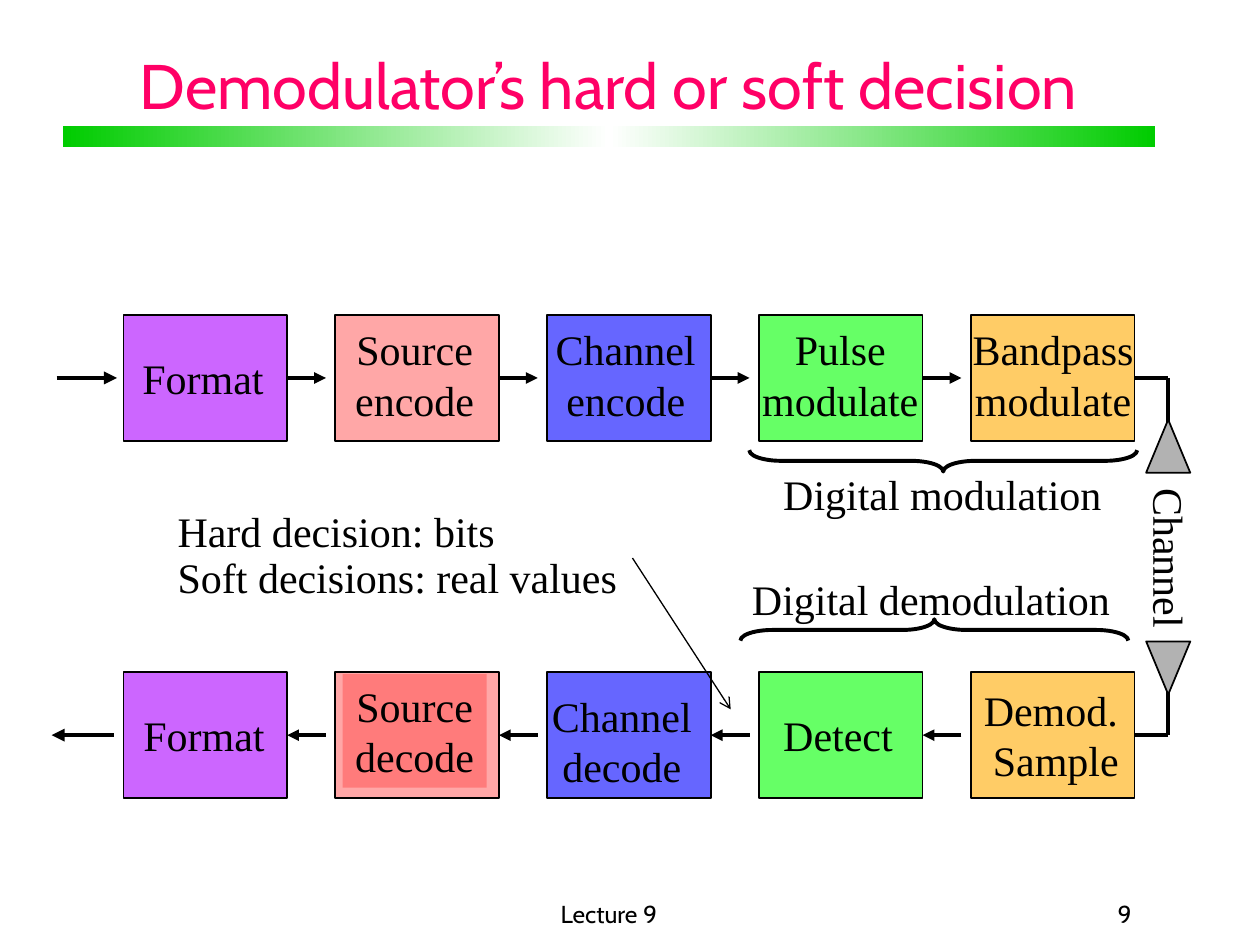
from copy import deepcopy
from dataclasses import dataclass

from lxml import etree
from pptx import Presentation
from pptx.dml.color import RGBColor
from pptx.enum.shapes import MSO_CONNECTOR, MSO_SHAPE
from pptx.enum.text import MSO_ANCHOR, PP_ALIGN
from pptx.oxml.ns import qn
from pptx.util import Cm, Pt

STRAIGHT = MSO_CONNECTOR.STRAIGHT
RECTANGLE, TRIANGLE, BRACE = MSO_SHAPE.RECTANGLE, MSO_SHAPE.ISOSCELES_TRIANGLE, MSO_SHAPE.LEFT_BRACE
LEFT, CENTER, RIGHT = PP_ALIGN.LEFT, PP_ALIGN.CENTER, PP_ALIGN.RIGHT
TOP, MIDDLE, BOTTOM = MSO_ANCHOR.TOP, MSO_ANCHOR.MIDDLE, MSO_ANCHOR.BOTTOM


@dataclass(frozen=True)
class Theme:
    ink: RGBColor = RGBColor.from_string("000000")
    title: RGBColor = RGBColor.from_string("FF0066")
    bar: RGBColor = RGBColor.from_string("00CC00")
    paper: RGBColor = RGBColor.from_string("FFFFFF")
    format: RGBColor = RGBColor.from_string("CC66FF")
    source: RGBColor = RGBColor.from_string("FF5050")
    channel: RGBColor = RGBColor.from_string("6666FF")
    pulse: RGBColor = RGBColor.from_string("66FF66")
    bandpass: RGBColor = RGBColor.from_string("FFCC66")
    antenna: RGBColor = RGBColor.from_string("B2B2B2")
    heading_font: str = "Cabin"
    body_font: str = "Times New Roman"
    title_size: Pt = Pt(36)
    body_size: Pt = Pt(24)
    footer_size: Pt = Pt(14)


theme = Theme()


def add_line(x1, y1, x2, y2, width=2.25, arrowhead=None):
    """Draw a line in centimetres, with an optional arrowhead at its end."""
    line = slide.shapes.add_connector(STRAIGHT, Cm(x1), Cm(y1), Cm(x2), Cm(y2))
    line.line.color.rgb = theme.ink
    line.line.width = Pt(width)
    if arrowhead:
        etree.SubElement(line.line._get_or_add_ln(), qn("a:tailEnd"), type=arrowhead)
    etree.SubElement(line._element.spPr, qn("a:effectLst"))


def add_outlined(kind, left, top, width, height, fill=None, line_width=1):
    """Draw a preset shape in centimetres with a black outline."""
    shape = slide.shapes.add_shape(kind, Cm(left), Cm(top), Cm(width), Cm(height))
    shape.shadow.inherit = False
    if fill is None:
        shape.fill.background()
    else:
        shape.fill.solid()
        shape.fill.fore_color.rgb = fill
    shape.line.color.rgb = theme.ink
    shape.line.width = Pt(line_width)
    return shape


presentation = Presentation()
presentation.slide_width, presentation.slide_height = Cm(25.4), Cm(19.05)
slide = presentation.slides.add_slide(presentation.slide_layouts[5])

# Gradient bar under the title
bar = slide.shapes.add_shape(RECTANGLE, Cm(1.27), Cm(2.54), Cm(22.02), Cm(0.43))
bar.shadow.inherit = False
bar.line.fill.background()
bar.fill.gradient()
bar.fill.gradient_angle = 0
stop_list = bar._element.spPr.find(qn("a:gradFill")).find(qn("a:gsLst"))
stop_list.append(deepcopy(stop_list[0]))
for stop, position, colour in zip(
    bar.fill.gradient_stops, (0, 0.5, 1), (theme.bar, theme.paper, theme.bar)
):
    stop.position = position
    stop.color.rgb = colour

title = slide.shapes.title
title.left, title.top, title.width, title.height = Cm(1.47), Cm(0.81), Cm(21.59), Cm(1.78)
title.text_frame.text = "Demodulator’s hard or soft decision"
title.text_frame.vertical_anchor = MIDDLE
paragraph = title.text_frame.paragraphs[0]
paragraph.alignment = CENTER
paragraph.font.name = theme.heading_font
paragraph.font.size = theme.title_size
paragraph.font.color.rgb = theme.title

# Transmitter row on top, receiver row below
box_left, box_width, box_height, box_pitch = 2.49, 3.3, 2.54, 4.27
row_tops = (6.35, 13.55)
send_middle, receive_middle = (top + box_height / 2 for top in row_tops)
stage_colours = (theme.format, theme.source, theme.channel, theme.pulse, theme.bandpass)
translucent = []
for top in row_tops:
    for column, colour in enumerate(stage_colours):
        box = add_outlined(
            RECTANGLE, box_left + column * box_pitch, top, box_width, box_height, colour
        )
        if colour == theme.source:
            translucent.append(box)

# Signal flow between the stages
arrow_length = 0.78
for column in range(len(stage_colours) - 1):
    start = box_left + column * box_pitch + box_width
    end = start + arrow_length
    add_line(start, send_middle, end, send_middle, arrowhead="triangle")
    add_line(end, receive_middle, start, receive_middle, arrowhead="triangle")
add_line(1.14, send_middle, 2.36, send_middle, 2.5, "triangle")
add_line(2.29, receive_middle, 1.04, receive_middle, 2.5, "triangle")

# Antennas
antenna_x, antenna_width, antenna_height = 23.55, 0.89, 1.07
chain_end = box_left + 4 * box_pitch + box_width
for middle, antenna_top, tip, rotation in (
    (send_middle, 8.46, 8.69, 0),
    (receive_middle, 12.93, 13.77, 180),
):
    add_line(chain_end, middle, antenna_x, middle)
    add_line(antenna_x, middle, antenna_x, tip)
    antenna = add_outlined(
        TRIANGLE, antenna_x - antenna_width / 2, antenna_top,
        antenna_width, antenna_height, theme.antenna,
    )
    antenna.rotation = rotation

# Braces
for left, top, rotation in ((18.8, 5.38, 270), (18.62, 8.79, 90)):
    brace = add_outlined(BRACE, left, top, 0.43, 7.82, line_width=2.25)
    brace.rotation = rotation
    brace.adjustments[0] = 1.5
    brace.adjustments[1] = 0.5

# Text: wording, left, top, width, height, alignment
one_line, two_lines = 1.27, 2.29
labels = (
    ("Format", 2.62, 6.99, 2.95, one_line, CENTER),
    ("Source\nencode", 6.91, 6.4, 2.9, two_lines, CENTER),
    ("Channel\nencode", 10.95, 6.4, 3.33, two_lines, CENTER),
    ("Pulse\nmodulate", 15.11, 6.4, 3.66, two_lines, CENTER),
    ("Bandpass\nmodulate", 19.35, 6.4, 3.76, two_lines, CENTER),
    ("Format", 2.64, 14.17, 2.95, one_line, LEFT),
    ("Source\ndecode", 6.91, 13.59, 2.9, two_lines, CENTER),
    ("Channel\ndecode", 10.87, 13.79, 3.33, two_lines, CENTER),
    ("Detect", 15.54, 14.17, 2.72, one_line, LEFT),
    ("Demod.\nSample", 19.56, 13.67, 3.25, two_lines, CENTER),
    ("Channel", 21.92, 10.62, 3.33, one_line, LEFT),
    ("Digital modulation", 15.54, 9.32, 6.93, one_line, LEFT),
    ("Digital demodulation", 14.91, 11.43, 7.72, one_line, LEFT),
    ("Hard decision: bits\nSoft decisions: real values", 3.33, 10.19, 9.37, 2.08, LEFT),
    ("Lecture 9", 8.26, 17.98, 8.03, 0.86, CENTER),
    ("9", 17.78, 17.98, 5.28, 0.86, RIGHT),
)
for wording, left, top, width, height, alignment in labels:
    label = slide.shapes.add_textbox(Cm(left), Cm(top), Cm(width), Cm(height))
    is_footer = wording in ("Lecture 9", "9")
    frame = label.text_frame
    frame.text = wording
    frame.word_wrap = is_footer
    frame.vertical_anchor = BOTTOM if is_footer else TOP
    for paragraph in frame.paragraphs:
        paragraph.alignment = alignment
        paragraph.font.name = theme.heading_font if is_footer else theme.body_font
        paragraph.font.size = theme.footer_size if is_footer else theme.body_size
        paragraph.font.color.rgb = theme.ink
        if wording.startswith("Hard"):
            paragraph.line_spacing = 0.9
        if paragraph.text == "Sample":
            paragraph._p.get_or_add_pPr().set("marL", str(Cm(0.2)))
    if wording == "Channel":
        label.rotation = 90
    if wording == "Source\ndecode":
        label.fill.solid()
        label.fill.fore_color.rgb = theme.source
        translucent.append(label)

for shape in translucent:
    colour = shape._element.spPr.find(qn("a:solidFill"))[0]
    etree.SubElement(colour, qn("a:alpha"), val="50000")

# Pointer from the decision note to the detector output
add_line(12.75, 11.25, 14.73, 14.3, 0.75, "arrow")

presentation.save("out.pptx")
